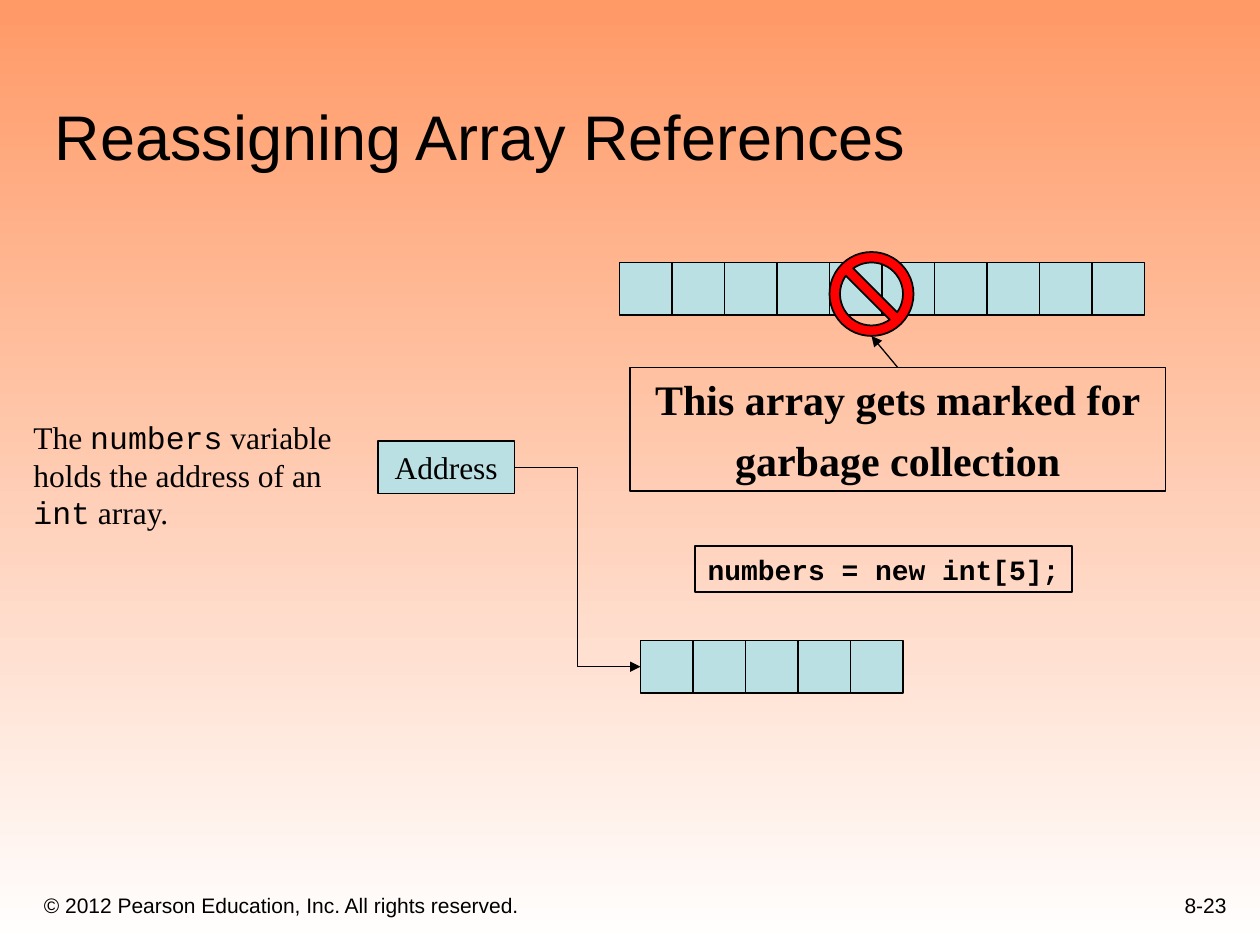
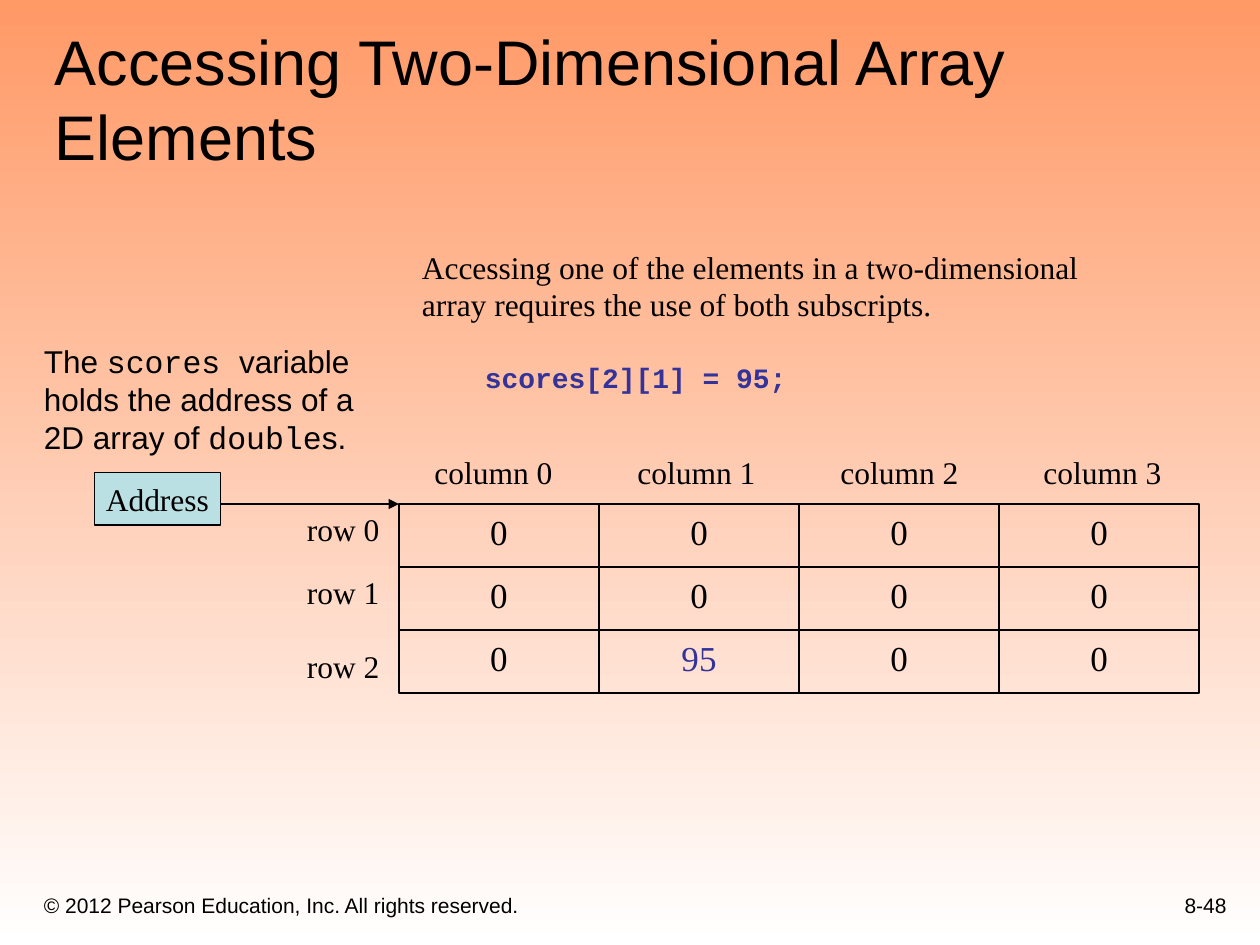
import pptx
import pptx.util
import pptx.dml.color
import pptx.enum.shapes
import pptx.enum.text
from lxml import etree

Shape = pptx.enum.shapes.MSO_SHAPE
Connector = pptx.enum.shapes.MSO_CONNECTOR
Anchor = pptx.enum.text.MSO_ANCHOR
Align = pptx.enum.text.PP_ALIGN

# The slide is a grid of 120 columns by 90 rows, twelve to the inch.
COLUMNS, ROWS = 120, 90
CELL = 5  # side of a one-dimensional array element

COLORS = {"sky": "FF9966", "white": "FFFFFF", "box": "BBE0E3",
          "black": "000000", "indigo": "333399", "red": "FF0000"}
SANS, SERIF, MONO = "Arial", "Times New Roman", "Courier New"

COPYRIGHT = "© 2012 Pearson Education, Inc. All rights reserved."
TITLE_AREA = (4, 4, 113, 13.1)
COPYRIGHT_AREA = (3, 83, 73, 5)
NUMBER_AREA = (93, 82, 25, 6)

# Paragraphs are lists of runs; a run is (text, font name).
REASSIGNING = {
    "title": "Reassigning Array References",
    "number": "8-23",
    "variable": [[("The ", SERIF), ("numbers", MONO), (" variable", SERIF)],
                 [("holds the address of an", SERIF)],
                 [("int", MONO), (" array.", SERIF)]],
    "garbage": [[("This array gets marked for", SERIF)], [("garbage collection", SERIF)]],
    "statement": [[("numbers = new int[5];", MONO)]],
    "old_array": (59, 25, 10),  # column, row, length
    "new_array": (61, 61, 5),
}
ACCESSING = {
    "title": "Accessing Two-Dimensional Array Elements",
    "number": "8-48",
    "variable": [[("The ", SANS), ("scores ", MONO), ("variable", SANS)],
                 [("holds the address of a", SANS)],
                 [("2D array of ", SANS), ("double", MONO), ("s.", SANS)]],
    "rule": "Accessing one of the elements in a two-dimensional array "
            "requires the use of both subscripts.",
    "statement": "scores[2][1] = 95;",
    "scores": [[0, 0, 0, 0], [0, 0, 0, 0], [0, 95, 0, 0]],
    "changed": (2, 1),
    "row_label_tops": [48, 54, 61],
}


def grid(*lengths):
    return [pptx.util.Inches(length / 12) for length in lengths]


def color(name):
    return pptx.dml.color.RGBColor.from_string(COLORS[name])


def set_attributes(target, **values):
    for name, value in values.items():
        setattr(target, name, value)


def add_run(paragraph, text, font, size, ink="black", bold=False):
    run = paragraph.add_run()
    run.text = text
    set_attributes(run.font, name=font, size=pptx.util.Pt(size), bold=bold)
    run.font.color.rgb = color(ink)


def write(shape, paragraphs, size=18, ink="black", bold=False, align=Align.LEFT,
          anchor=Anchor.TOP, wrap=False, gap=0):
    """Fill a shape with paragraphs of runs, gap points apart."""
    frame = shape.text_frame
    set_attributes(frame, word_wrap=wrap, vertical_anchor=anchor)
    for index, runs in enumerate(paragraphs):
        paragraph = frame.add_paragraph() if index else frame.paragraphs[0]
        paragraph.alignment = align
        if index and gap:
            paragraph.space_before = pptx.util.Pt(gap)
        for text, font in runs:
            add_run(paragraph, text, font, size, ink, bold)


def add_text(slide, area, paragraphs, **style):
    box = slide.shapes.add_textbox(*grid(*area))
    write(box, paragraphs, **style)
    return box


def add_box(slide, area, fill=None, line_width=0.75, preset=Shape.RECTANGLE):
    shape = slide.shapes.add_shape(preset, *grid(*area))
    shape.shadow.inherit = False
    if fill:
        shape.fill.solid()
        shape.fill.fore_color.rgb = color(fill)
    else:
        shape.fill.background()
    shape.line.color.rgb = color("black")
    shape.line.width = pptx.util.Pt(line_width)
    return shape


def add_address(slide, area):
    box = add_box(slide, area, "box")
    write(box, [[("Address", SERIF)]], align=Align.CENTER, anchor=Anchor.MIDDLE)
    return box


def add_array(slide, left, top, length):
    return [add_box(slide, (left + CELL * index, top, CELL, CELL), "box")
            for index in range(length)]


def add_arrow(slide, start, end, kind=Connector.STRAIGHT):
    arrow = slide.shapes.add_connector(kind, *grid(*start, *end))
    arrow.line.color.rgb = color("black")
    arrow.line.width = pptx.util.Pt(0.75)
    line = arrow.line._get_or_add_ln()
    etree.SubElement(line, pptx.oxml.ns.qn("a:tailEnd"), type="triangle")
    etree.SubElement(arrow._element.spPr, pptx.oxml.ns.qn("a:effectLst"))
    return arrow


def paint_background(presentation):
    fill = presentation.slide_master.background.fill
    fill.gradient()
    fill.gradient_angle = 270
    for stop, position, name in zip(fill.gradient_stops, (0, 1), ("sky", "white")):
        stop.position = position
        stop.color.rgb = color(name)


def start_slide(presentation, content):
    """Add a slide with its title, copyright line and page number."""
    slide = presentation.slides.add_slide(presentation.slide_layouts[5])
    title = slide.shapes.title
    set_attributes(title, **dict(zip(("left", "top", "width", "height"), grid(*TITLE_AREA))))
    write(title, [[(content["title"], SANS)]], size=36, anchor=Anchor.BOTTOM, wrap=True)
    footer = {"size": 12, "anchor": Anchor.BOTTOM, "wrap": True}
    add_text(slide, COPYRIGHT_AREA, [[(COPYRIGHT, SANS)]], **footer)
    add_text(slide, NUMBER_AREA, [[(content["number"], SANS)]], align=Align.RIGHT, **footer)
    return slide


def build_reassigning(presentation, content):
    slide = start_slide(presentation, content)
    add_array(slide, *content["old_array"])
    new_array = add_array(slide, *content["new_array"])
    address = add_address(slide, (36, 42, 13, CELL))
    add_text(slide, (2, 39.2, 30.8, 12), content["variable"])

    reference = add_arrow(slide, (49, 44.5), (61, 63.5), Connector.ELBOW)
    reference.begin_connect(address, 3)
    reference.end_connect(new_array[0], 1)

    framed = {"bold": True, "align": Align.CENTER, "anchor": Anchor.MIDDLE}
    statement = add_box(slide, (66.2, 52, 35.9, 4.4), line_width=1)
    write(statement, content["statement"], size=16, **framed)
    garbage = add_box(slide, (60, 35, 51, 11.8), line_width=1)
    write(garbage, content["garbage"], size=24, wrap=True, gap=6, **framed)

    no_sign = add_box(slide, (79, 24, 8, 8), "red", 1, Shape.NO_SYMBOL)
    no_sign.adjustments[0] = 0.125
    add_arrow(slide, (85.5, 35), (83, 32)).begin_connect(garbage, 0)


def build_accessing(presentation, content):
    slide = start_slide(presentation, content)
    rule = add_text(slide, (39, 23, 67, 18.8), [[(content["rule"], SERIF)]], wrap=True)
    statement = rule.text_frame.add_paragraph()
    set_attributes(statement, level=1, space_before=pptx.util.Pt(21))
    add_run(statement, content["statement"], MONO, 16, "indigo", True)

    left, top, width, height = 38, 48, 19.05, 6
    for row, values in enumerate(content["scores"]):
        for column, value in enumerate(values):
            area = (left + column * width, top + row * height, width, height)
            ink = "indigo" if (row, column) == content["changed"] else "black"
            write(add_box(slide, area, line_width=1), [[(str(value), SERIF)]],
                  size=20, ink=ink, align=Align.CENTER, wrap=True)
    for row, label_top in enumerate(content["row_label_tops"]):
        add_text(slide, (28.05, label_top, 9.3, 4.8), [[(f"row {row}", SERIF)]])
    for column in range(len(content["scores"][0])):
        add_text(slide, (40.2 + 19.33 * column, 42.6, 13.7, 4.8),
                 [[(f"column {column}", SERIF)]])

    add_address(slide, (9, 45, 12, CELL))
    add_arrow(slide, (21, top), (left, top))
    add_text(slide, (3, 32, 31.9, 12), content["variable"])


def main():
    presentation = pptx.Presentation()
    presentation.slide_width, presentation.slide_height = grid(COLUMNS, ROWS)
    paint_background(presentation)
    build_reassigning(presentation, REASSIGNING)
    build_accessing(presentation, ACCESSING)
    presentation.save("out.pptx")


if __name__ == "__main__":
    main()
